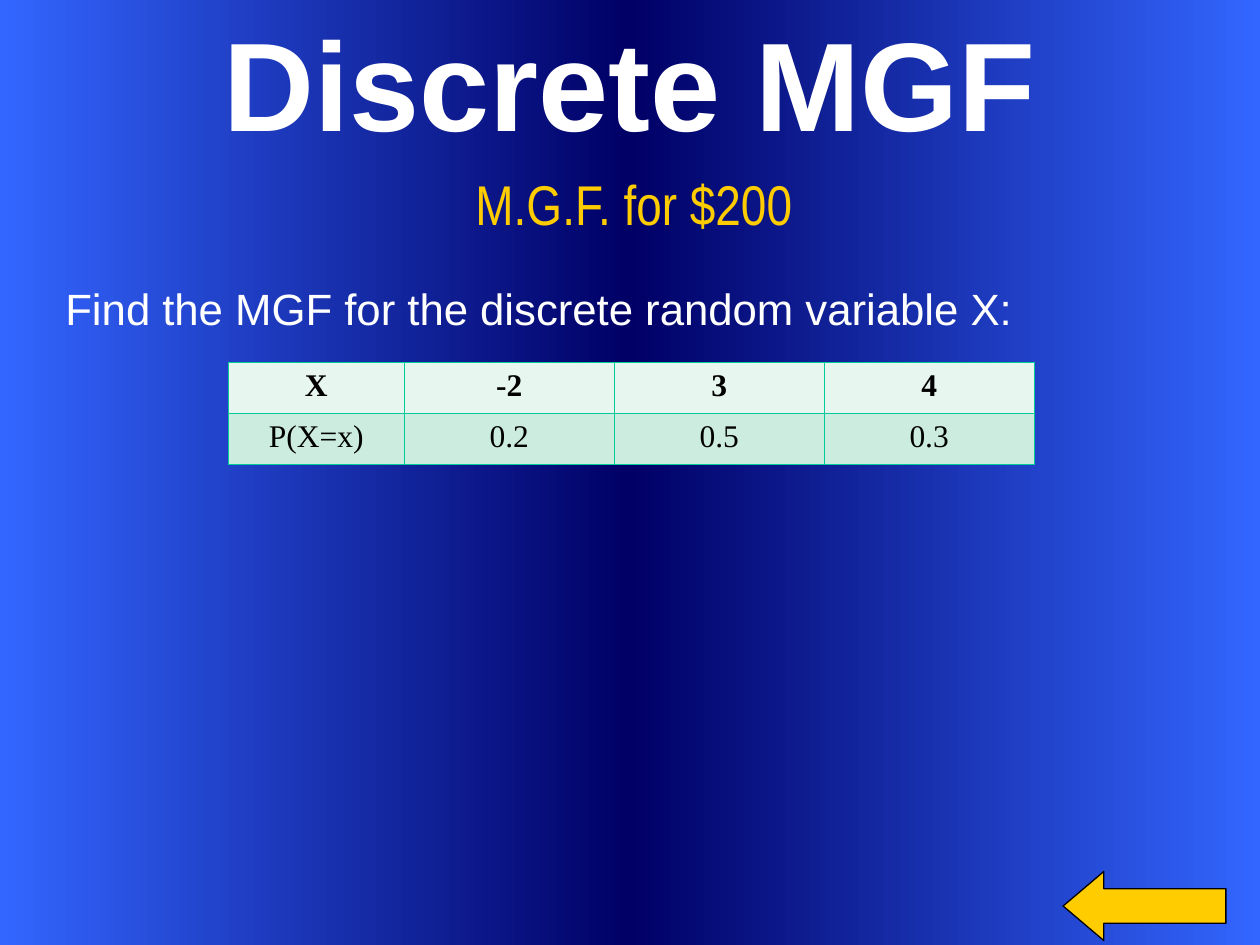
import copy

import lxml.etree
import pptx
import pptx.dml.color
import pptx.enum.shapes
import pptx.enum.text
import pptx.oxml.ns
import pptx.util

Pt = pptx.util.Pt
Shape = pptx.enum.shapes.MSO_SHAPE
Align = pptx.enum.text.PP_ALIGN
Anchor = pptx.enum.text.MSO_ANCHOR
qn = pptx.oxml.ns.qn

HUES = {
    "blue": "3366FF",
    "navy": "000066",
    "gold": "FFCC00",
    "white": "FFFFFF",
    "black": "000000",
    "teal": "00CC99",
    "pale": "E7F6EF",
    "mint": "CBECDE",
}


def tint(name):
    return pptx.dml.color.RGBColor.from_string(HUES[name])


class Deck:
    """Hold the style and the current slide, and draw its elements."""

    def __init__(self, wide, high):
        self.show = pptx.Presentation()
        self.show.slide_width, self.show.slide_height = Pt(wide), Pt(high)
        self.slide = self.show.slides.add_slide(self.show.slide_layouts[6])

    def label(self, frame, text, size, face, hue, bold=False, align=Align.CENTER):
        para = frame.paragraphs[0]
        para.alignment = align
        run = para.add_run()
        run.text = text
        run.font.size, run.font.name, run.font.bold = Pt(size), face, bold
        run.font.color.rgb = tint(hue)

    def shape(self, kind, *spot):
        item = self.slide.shapes.add_shape(kind, *map(Pt, spot))
        item.shadow.inherit = False
        return item

    def panel(self, spot, hues):
        item = self.shape(Shape.RECTANGLE, *spot)
        item.line.fill.background()
        item.fill.gradient()
        item.fill.gradient_angle = 0
        stops = item._element.spPr.find(qn("a:gradFill")).find(qn("a:gsLst"))
        stops.insert(1, copy.deepcopy(stops[0]))
        for rank, (stop, hue) in enumerate(zip(item.fill.gradient_stops, hues)):
            stop.position = rank / (len(hues) - 1)
            stop.color.rgb = tint(hue)
        item.text_frame.word_wrap = False
        item.text_frame.vertical_anchor = Anchor.TOP
        return item.text_frame

    def text(self, spot, wrap=True, anchor=Anchor.TOP):
        frame = self.slide.shapes.add_textbox(*map(Pt, spot)).text_frame
        frame.word_wrap = wrap
        frame.vertical_anchor = anchor
        return frame

    def arrow(self, spot, hue, edge):
        item = self.shape(Shape.LEFT_ARROW, *spot)
        item.adjustments[1] = 0.59
        item.fill.solid()
        item.fill.fore_color.rgb = tint(hue)
        item.line.color.rgb = tint(edge)
        item.line.width = Pt(0.75)

    def edge(self, cell, hue, width):
        props = cell._tc.get_or_add_tcPr()
        for rank, side in enumerate(("lnL", "lnR", "lnT", "lnB")):
            line = lxml.etree.Element(qn("a:" + side), w=str(Pt(width)))
            fill = lxml.etree.SubElement(line, qn("a:solidFill"))
            lxml.etree.SubElement(fill, qn("a:srgbClr"), val=HUES[hue])
            props.insert(rank, line)

    def table(self, left, top, cols, high, rows, fills):
        spot = (left, top, sum(cols), high * len(rows))
        grid = self.slide.shapes.add_table(len(rows), len(cols), *map(Pt, spot)).table
        for col, wide in zip(grid.columns, cols):
            col.width = Pt(wide)
        for y, row in enumerate(rows):
            for x, word in enumerate(row):
                cell = grid.cell(y, x)
                cell.fill.solid()
                cell.fill.fore_color.rgb = tint(fills[y])
                self.edge(cell, "teal", 0.45)
                self.label(cell.text_frame, word, 18, "Times New Roman", "black", y == 0)


def main():
    deck = Deck(720, 540)
    title = deck.panel((0, -0.5, 720, 540.5), ("blue", "navy", "blue"))
    deck.label(title, "Discrete MGF", 72, "Arial", "white", True)
    price = deck.text((229, 91.5, 266.5, 49.5), False, Anchor.MIDDLE)
    deck.label(price, "M.G.F. for $200", 32, "Arial Narrow", "gold")
    deck.arrow((607.5, 498, 93, 39.5), "gold", "black")
    task = deck.text((30.25, 157.5, 657.5, 37.5))
    deck.label(task, "Find the MGF for the discrete random variable X:", 25,
               "Arial", "white", align=Align.LEFT)
    rows = (("X", "-2", "3", "4"), ("P(X=x)", "0.2", "0.5", "0.3"))
    deck.table(130.5, 207, (100.5, 120, 120, 120), 29.2, rows, ("pale", "mint"))
    deck.show.save("out.pptx")


if __name__ == "__main__":
    main()
